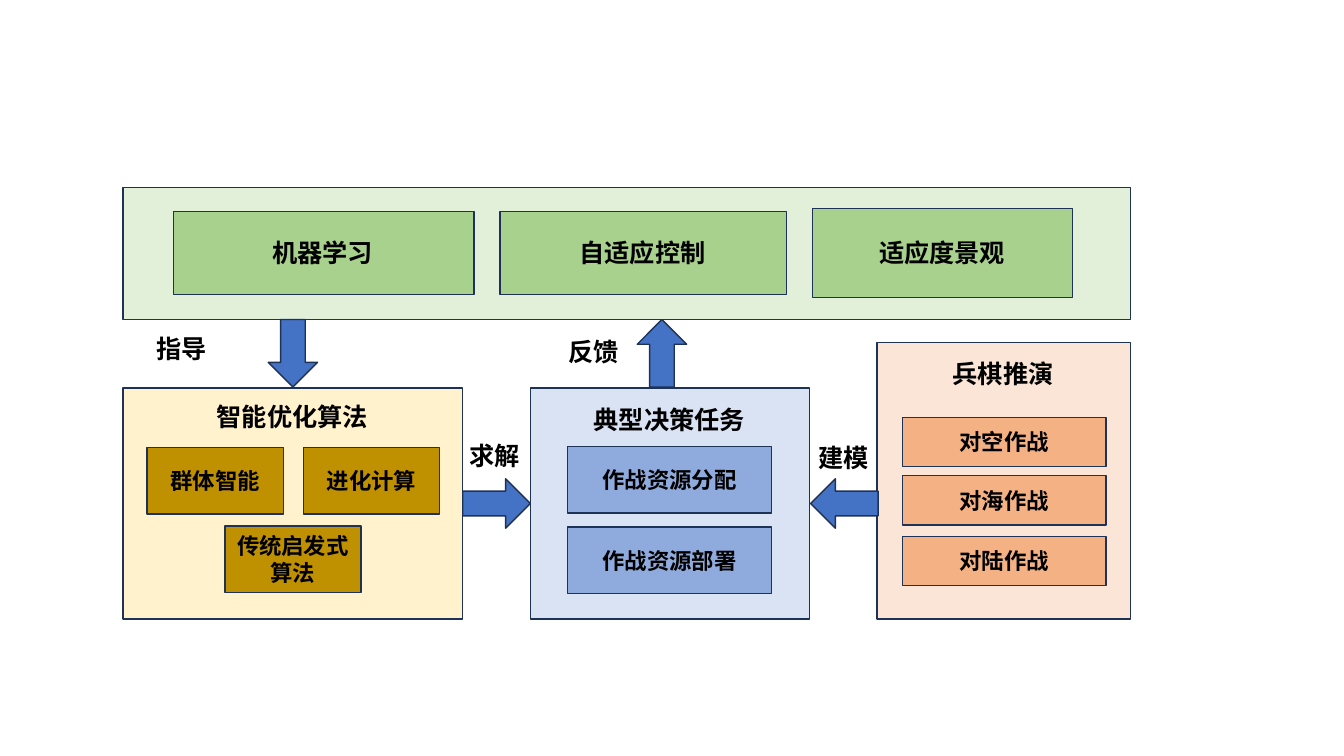
from lxml.etree import SubElement
from pptx import Presentation
from pptx.dml.color import RGBColor
from pptx.enum.shapes import MSO_SHAPE as Shape
from pptx.enum.text import MSO_ANCHOR as Anchor, MSO_AUTO_SIZE as AutoSize, PP_ALIGN as Align
from pptx.oxml.ns import qn
from pptx.util import Inches, Pt

# The grid has square cells, one inch wide and high.
CELL = Inches(1)
COLUMNS, ROWS = 13.33, 7.5
FONT = "Noto Sans CJK SC"
OUTLINE = "1E3256"
ARROW_FILL = "4472C4"
LABEL_HEIGHT = 0.4
BOTTOM = 6.14
ARROW_LENGTH, ARROW_WIDTH = 0.67, 0.49


def color(value):
    return RGBColor.from_string(value)


def cells(*counts):
    return [round(count * CELL) for count in counts]


def write(box, text, size):
    para = box.text_frame.paragraphs[0]
    para.text = text
    for span in para.runs:
        span.font.size = Pt(size)
        span.font.bold = True
        span.font.color.rgb = color("000000")
        span.font.name = FONT
        SubElement(span.font._element, qn("a:ea")).set("typeface", FONT)
    return para


def add_block(page, kind, place, fill):
    block = page.shapes.add_shape(kind, *cells(*place))
    block.shadow.inherit = False
    block.fill.solid()
    block.fill.fore_color.rgb = color(fill)
    block.line.color.rgb = color(OUTLINE)
    block.line.width = Pt(1)
    return block


def add_panel(page, left, top, width, height, fill):
    return add_block(page, Shape.RECTANGLE, (left, top, width, height), fill)


def add_card(page, text, left, top, width, height, fill):
    card = add_panel(page, left, top, width, height, fill)
    card.text_frame.word_wrap = True
    card.text_frame.vertical_anchor = Anchor.MIDDLE
    write(card, text, 16).alignment = Align.CENTER


def add_label(page, text, left, top):
    """Add an 18 pt text whose box is as wide as its characters and margins."""
    width = 0.25 * len(text) + 0.21
    box = page.shapes.add_textbox(*cells(left, top, width, LABEL_HEIGHT))
    box.text_frame.word_wrap = False
    box.text_frame.auto_size = AutoSize.SHAPE_TO_FIT_TEXT
    write(box, text, 18)


def add_arrow(page, left, top, angle):
    place = (left, top, ARROW_LENGTH, ARROW_WIDTH)
    add_block(page, Shape.RIGHT_ARROW, place, ARROW_FILL).rotation = angle


def add_guidance(page):
    add_panel(page, 1.22, 1.86, 9.99, 1.31, "E2F0D9")
    for text, text_left, left, top, width, height in (
        ("机器学习", 2.6, 1.72, 2.1, 2.98, 0.82),
        ("自适应控制", 5.65, 4.96, 2.1, 2.84, 0.82),
        ("适应度景观", 8.62, 8.06, 2.07, 2.58, 0.88),
    ):
        add_panel(page, left, top, width, height, "A9D18E")
        add_label(page, text, text_left, 2.31)


def add_algorithms(page):
    add_panel(page, 1.22, 3.85, 3.37, BOTTOM - 3.85, "FFF2CC")
    add_label(page, "智能优化算法", 2.05, 3.93)
    for text, left, top in (
        ("群体智能", 1.46, 4.44),
        ("进化计算", 3.01, 4.44),
        ("传统启发式算法", 2.23, 5.22),
    ):
        add_card(page, text, left, top, 1.35, 0.66, "BF9000")


def add_tasks(page):
    add_panel(page, 5.26, 3.85, 2.77, BOTTOM - 3.85, "DAE3F3")
    add_label(page, "典型决策任务", 5.79, 3.96)
    for row, text in enumerate(("作战资源分配", "作战资源部署")):
        add_card(page, text, 5.63, 4.43 + 0.8 * row, 2.02, 0.66, "8FAADC")


def add_wargame(page):
    add_panel(page, 8.7, 3.4, 2.51, BOTTOM - 3.4, "FBE5D6")
    add_label(page, "兵棋推演", 9.35, 3.51)
    for text, top in (("对空作战", 4.14), ("对海作战", 4.72), ("对陆作战", 5.32)):
        add_card(page, text, 8.95, top, 2.02, 0.49, "F4B183")


def add_links(page):
    for text, text_left, text_top, left, top, angle in (
        ("求解", 4.56, 4.32, 4.59, 4.75, 0),
        ("建模", 8.02, 4.34, 8.04, 4.75, 180),
        ("指导", 1.45, 3.26, 2.57, 3.26, 90),
        ("反馈", 5.54, 3.29, 6.23, 3.26, 270),
    ):
        add_arrow(page, left, top, angle)
        add_label(page, text, text_left, text_top)


def main():
    deck = Presentation()
    deck.slide_width, deck.slide_height = cells(COLUMNS, ROWS)
    page = deck.slides.add_slide(deck.slide_layouts[6])
    add_guidance(page)
    add_algorithms(page)
    add_tasks(page)
    add_wargame(page)
    add_links(page)
    deck.save("out.pptx")


if __name__ == "__main__":
    main()
